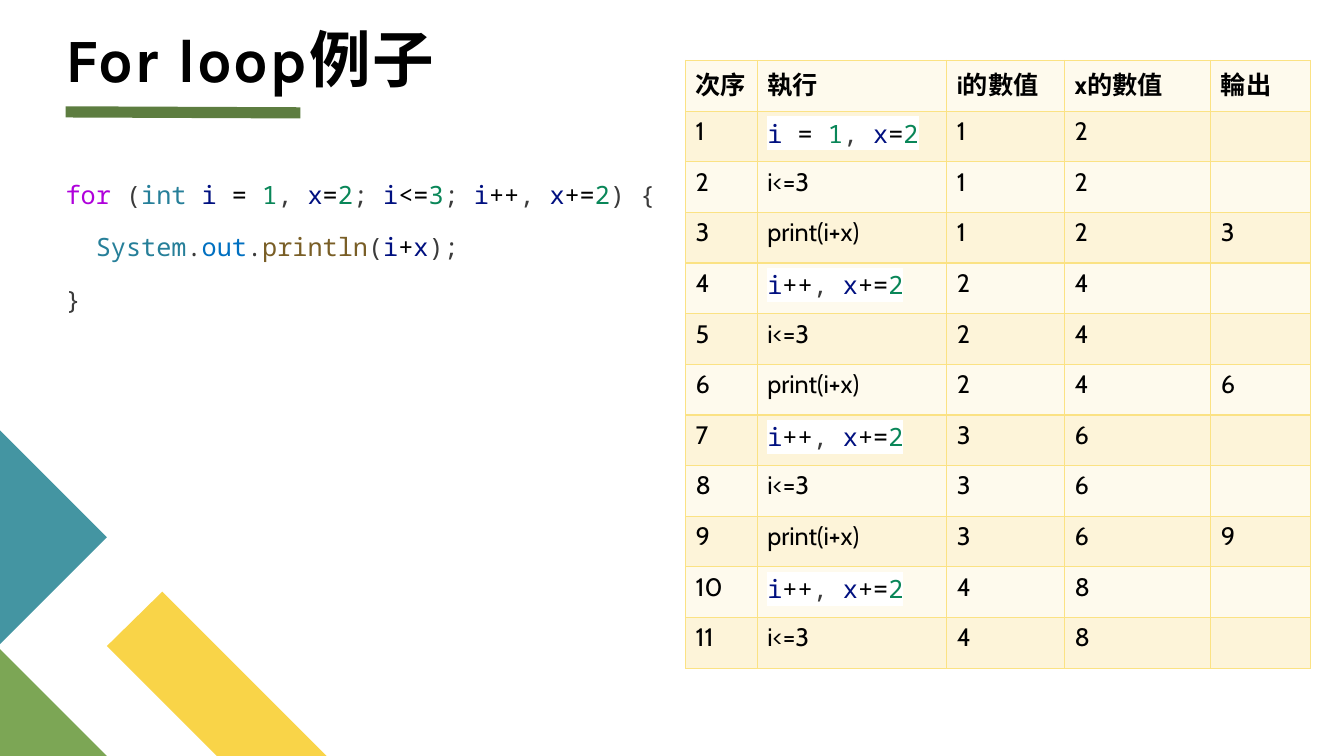
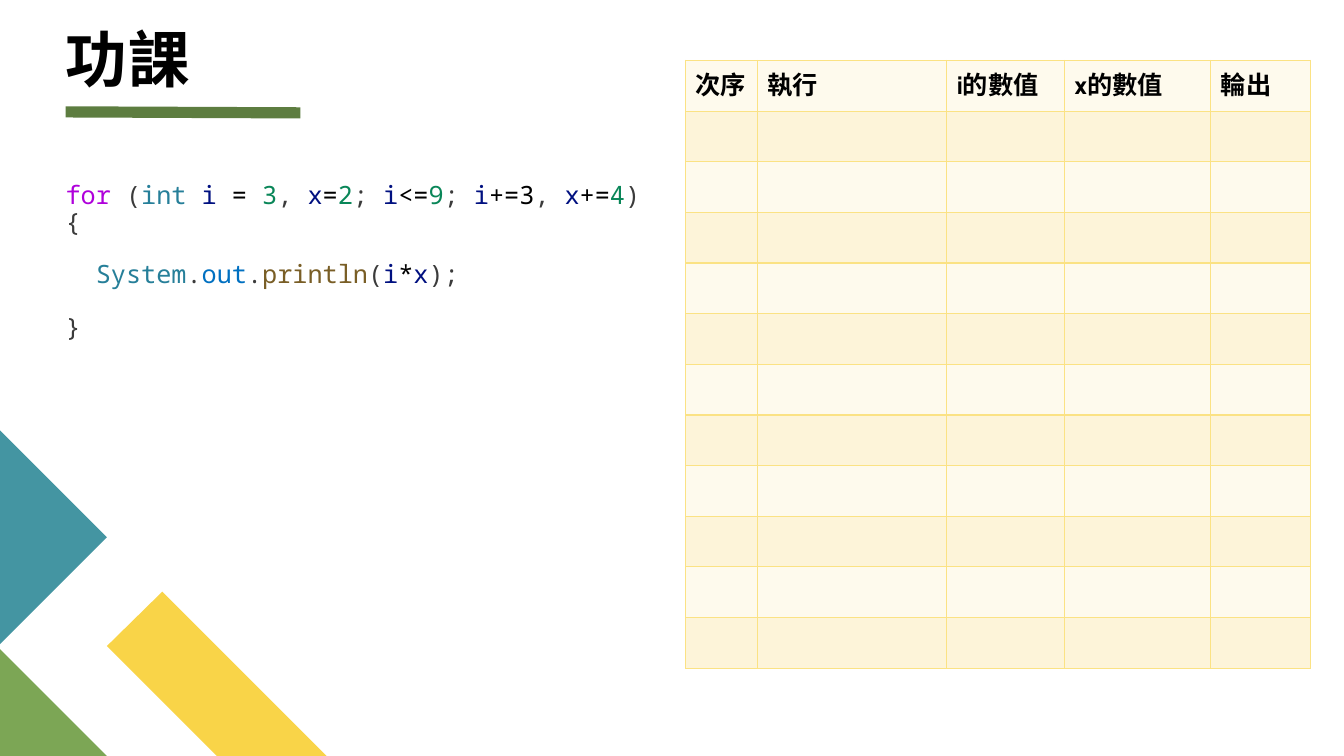
from dataclasses import dataclass
from itertools import groupby
from typing import Any, NamedTuple

from lxml.etree import SubElement
from pptx import Presentation
from pptx.dml.color import RGBColor
from pptx.enum.shapes import MSO_CONNECTOR
from pptx.enum.text import MSO_ANCHOR, MSO_AUTO_SIZE
from pptx.oxml import parse_xml
from pptx.oxml.ns import nsdecls, qn
from pptx.util import Inches, Pt


# Theme and content types
@dataclass(frozen=True)
class Theme:
    title_font: str = "Karla"
    table_font: str = "Cabin"
    code_font: str = "Noto Sans Mono"
    title_size: int = 44
    text_size: int = 18
    black: str = "000000"
    white: str = "FFFFFF"
    rule: str = "5D7D40"
    yellow: str = "F9D448"
    green: str = "7CA655"
    teal: str = "4495A2"
    border: str = "FBE284"
    light_band: str = "FEFAED"
    dark_band: str = "FDF4D9"
    punctuation: str = "3B3B3B"
    variable: str = "001080"
    number: str = "098658"
    keyword: str = "AF00DB"
    type_name: str = "267F99"
    member: str = "0070C1"
    method: str = "795E26"


THEME = Theme()
WORD_COLORS = {
    "for": THEME.keyword,
    "int": THEME.type_name,
    "System": THEME.type_name,
    "out": THEME.member,
    "println": THEME.method,
}
OPERATORS = "=<+*"


class CodeLine(NamedTuple):
    text: str  # a part between backticks is left black
    indent: float = 0


class Ornament(NamedTuple):
    color: str
    points: list[tuple[float, float]]


class Lesson(NamedTuple):
    title: str
    code: list[CodeLine]
    rows: list[tuple[str, ...]]


ORNAMENTS = [
    Ornament(THEME.yellow, [(3.24, 7.5), (2.15, 7.5), (1.06, 6.41), (1.61, 5.87)]),
    Ornament(THEME.green, [(1.06, 7.5), (0, 7.5), (0, 6.44)]),
    Ornament(THEME.teal, [(0, 4.27), (1.06, 5.33), (0, 6.39)]),
]
TITLE_BOX = (0.65, 0.11, 11.89, 0.83)
CODE_BOX = (0.65, 1.56, 5.95, 3.9)
TABLE_BOX = (6.8, 0.6, 6.2, 6.03)
COLUMN_WIDTHS = (0.71, 1.88, 1.17, 1.45, 0.99)
HEADINGS = ("次序", "執行", "i的數值", "x的數值", "輪出")
STEP_COUNT = 11


def trace_rows() -> list[tuple[str, ...]]:
    """Follow the example loop, one row per step."""
    steps: list[tuple[Any, ...]] = []
    for i in range(1, 5):
        x = 2 * i
        steps.append(("i = 1, x=2" if i == 1 else "i++, x+=2", i, x, ""))
        steps.append(("i<=3", i, x, ""))
        if i <= 3:
            steps.append(("print(i+x)", i, x, i + x))
    return [tuple(map(str, (order, *step))) for order, step in enumerate(steps, 1)]


LESSONS = [
    Lesson(
        "For loop例子",
        [
            CodeLine("for (int i = 1, x=2; i<=3; i++, x+=2) {"),
            CodeLine("System.out.println(i+x);", 0.3),
            CodeLine("}"),
        ],
        trace_rows(),
    ),
    Lesson(
        "功課",
        [
            CodeLine("for (int i = 3, x=2; i<=9; i`+=3`, x+=4) {"),
            CodeLine("System.out.println(i*x);", 0.3),
            CodeLine("}"),
        ],
        [("",) * len(HEADINGS)] * STEP_COUNT,
    ),
]


# Formatting helpers
def set_values(target: Any, values: dict[str, Any]) -> None:
    for name, value in values.items():
        setattr(target, name, value)


def box_values(box: tuple[float, ...]) -> dict[str, Any]:
    return dict(zip(("left", "top", "width", "height"), map(Inches, box)))


def add_run(paragraph: Any, text: str, color: str, **font_values: Any) -> Any:
    run = paragraph.add_run()
    run.text = text
    set_values(run.font, font_values)
    run.font.color.rgb = RGBColor.from_string(color)
    return run


def character_kind(character: str) -> str:
    if character.isalnum():
        return "word"
    return "operator" if character in OPERATORS else "punctuation"


def color_tokens(text: str) -> list[tuple[str, str]]:
    """Split code into tokens, each with its colour."""
    tokens = []
    for position, part in enumerate(text.split("`")):
        if position % 2:
            tokens.append((part, THEME.black))
            continue
        for kind, characters in groupby(part, character_kind):
            token = "".join(characters)
            if kind == "word":
                other = THEME.number if token.isdigit() else THEME.variable
                color = WORD_COLORS.get(token, other)
            else:
                color = THEME.black if kind == "operator" else THEME.punctuation
            tokens.append((token, color))
    return tokens


def add_code(paragraph: Any, text: str) -> None:
    for token, color in color_tokens(text):
        run = add_run(paragraph, token, color, name=THEME.code_font,
                      size=Pt(THEME.text_size), bold=False)
        highlight = parse_xml(
            f'<a:highlight {nsdecls("a")}><a:srgbClr val="{THEME.white}"/></a:highlight>'
        )
        run.font.fill._xPr.find(qn("a:solidFill")).addnext(highlight)


# Shared layout: rule under the title and corner ornaments
def decorate_layout(layout: Any, slide: Any) -> None:
    for placeholder in list(layout.placeholders):
        if placeholder.placeholder_format.idx >= 10:
            placeholder.element.getparent().remove(placeholder.element)

    rule = slide.shapes.add_connector(
        MSO_CONNECTOR.STRAIGHT, Inches(0.65), Inches(1.11), Inches(2.98), Inches(1.12)
    )
    rule.line.width = Pt(8)
    rule.line.color.rgb = RGBColor.from_string(THEME.rule)
    SubElement(rule.element.spPr, qn("a:effectLst"))
    decorations = [rule]

    for ornament in ORNAMENTS:
        start, *others = [(Inches(x), Inches(y)) for x, y in ornament.points]
        builder = slide.shapes.build_freeform(*start)
        builder.add_line_segments(others, close=True)
        shape = builder.convert_to_shape()
        shape.shadow.inherit = False
        shape.fill.solid()
        shape.fill.fore_color.rgb = RGBColor.from_string(ornament.color)
        shape.line.fill.background()
        decorations.append(shape)

    for shape in decorations:
        layout.shapes.element.append(shape.element)


# Slide parts
def format_placeholder(placeholder: Any, box: tuple[float, ...], top_margin: float,
                       anchor: MSO_ANCHOR) -> Any:
    set_values(placeholder, box_values(box))
    frame = placeholder.text_frame
    set_values(frame, {
        "margin_left": 0,
        "margin_top": Inches(top_margin),
        "margin_right": 0,
        "margin_bottom": 0,
        "vertical_anchor": anchor,
        "word_wrap": True,
        "auto_size": MSO_AUTO_SIZE.NONE,
    })
    return frame


def fill_title(slide: Any, title: str) -> None:
    frame = format_placeholder(slide.shapes.title, TITLE_BOX, 0, MSO_ANCHOR.BOTTOM)
    paragraph = frame.paragraphs[0]
    properties = paragraph._p.get_or_add_pPr()
    properties.set("algn", "l")
    paragraph.line_spacing = 0.8
    run = add_run(paragraph, title, THEME.black, name=THEME.title_font,
                  size=Pt(THEME.title_size), bold=True)
    run.font._element.set("spc", "100")


def fill_code(slide: Any, lines: list[CodeLine]) -> None:
    frame = format_placeholder(slide.placeholders[1], CODE_BOX, 0.25, MSO_ANCHOR.TOP)
    for position, line in enumerate(lines):
        paragraph = frame.add_paragraph() if position else frame.paragraphs[0]
        set_values(paragraph, {"line_spacing": 0.9, "space_before": Pt(18)})
        properties = paragraph._p.get_or_add_pPr()
        properties.set("marL", str(Inches(line.indent)))
        properties.set("indent", "0")
        SubElement(properties, qn("a:buNone"))
        add_code(paragraph, line.text)


def format_cell(cell: Any, fill_color: str) -> None:
    properties = cell._tc.get_or_add_tcPr()
    for side in ("lnL", "lnR", "lnT", "lnB"):
        properties.append(parse_xml(
            f'<a:{side} {nsdecls("a")} w="{Pt(1)}"><a:solidFill>'
            f'<a:srgbClr val="{THEME.border}"/></a:solidFill></a:{side}>'
        ))
    cell.fill.solid()
    cell.fill.fore_color.rgb = RGBColor.from_string(fill_color)


def add_trace_table(slide: Any, body_rows: list[tuple[str, ...]]) -> None:
    rows = [HEADINGS, *body_rows]
    frame = slide.shapes.add_table(len(rows), len(HEADINGS), *map(Inches, TABLE_BOX))
    table = frame.table
    table.horz_banding = False
    for column, width in zip(table.columns, COLUMN_WIDTHS):
        column.width = Inches(width)
    for row_index, row in enumerate(rows):
        band = THEME.dark_band if row_index % 2 else THEME.light_band
        for column_index, text in enumerate(row):
            cell = table.cell(row_index, column_index)
            format_cell(cell, band)
            paragraph = cell.text_frame.paragraphs[0]
            if "," in text:
                add_code(paragraph, text)
            elif text:
                add_run(paragraph, text, THEME.black, name=THEME.table_font,
                        size=Pt(THEME.text_size), bold=row_index == 0)


def main() -> None:
    presentation = Presentation()
    set_values(presentation, {"slide_width": Inches(13.33), "slide_height": Inches(7.5)})
    layout = presentation.slide_layouts[1]
    slides = [presentation.slides.add_slide(layout) for _ in LESSONS]
    decorate_layout(layout, slides[0])
    for slide, lesson in zip(slides, LESSONS):
        fill_title(slide, lesson.title)
        fill_code(slide, lesson.code)
        add_trace_table(slide, lesson.rows)
    presentation.save("out.pptx")


if __name__ == "__main__":
    main()
